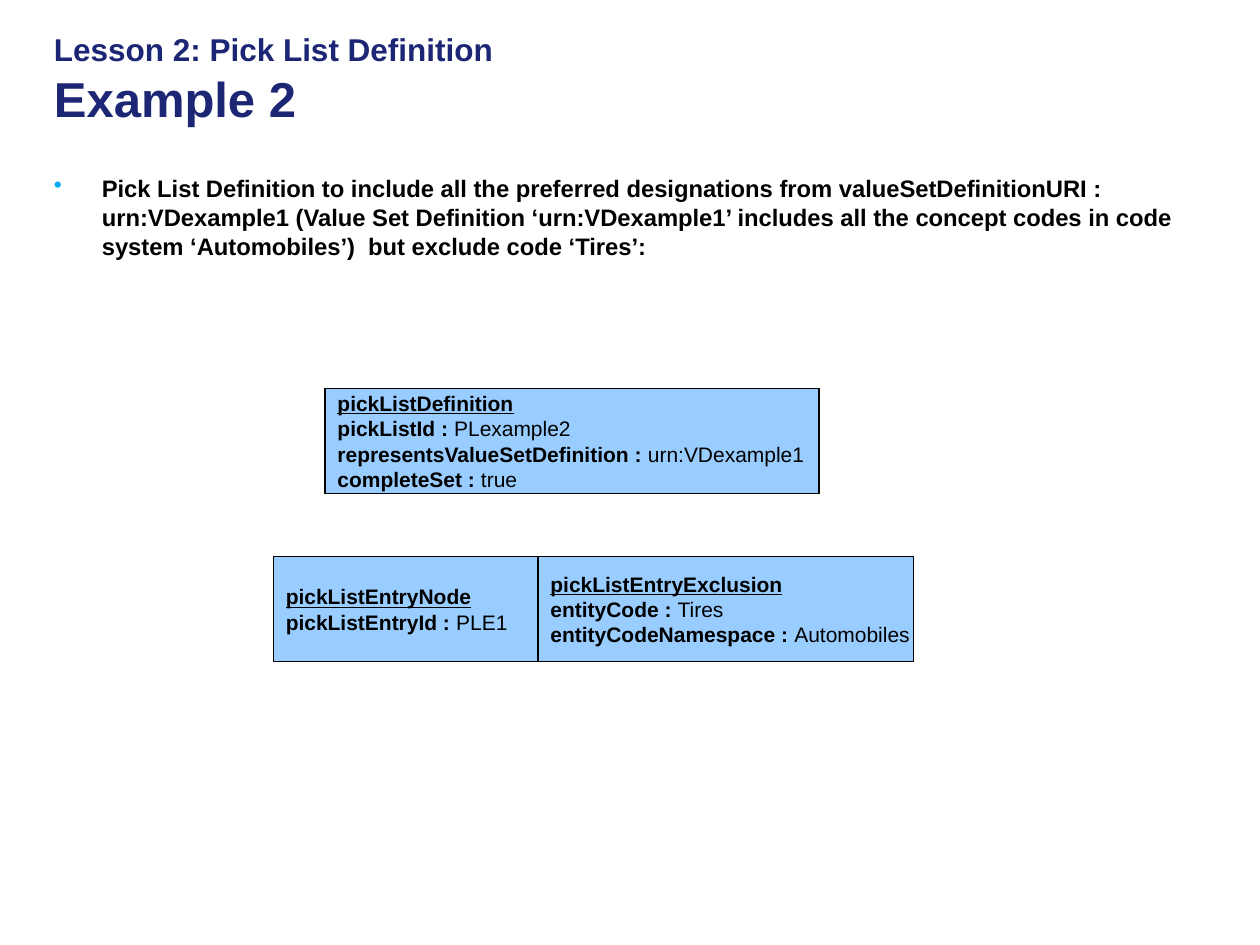
from lxml import etree
from pptx import Presentation
from pptx import util as u
from pptx.dml.color import RGBColor
from pptx.enum import shapes, text
from pptx.oxml.ns import qn

HUES = {"navy": "1C2674", "cyan": "00AAF6", "sky": "99CCFF", "ink": "000000"}
WIDE, HIGH = 10, 7.5
ROW = HIGH / 90  # vertical grid step


def hue(name):
    return RGBColor.from_string(HUES[name])


def style(font, size, name="ink", bold=None):
    font.name, font.size, font.bold = "Arial", u.Pt(size), bold
    font.color.rgb = hue(name)


def frame(shape, anchor, wrap=True):
    body = shape.text_frame
    body.word_wrap, body.vertical_anchor = wrap, anchor
    return body


def text_box(slide, left, row, width, rows, anchor):
    box = slide.shapes.add_textbox(*map(u.Inches, (left, row * ROW, width, rows * ROW)))
    return frame(box, anchor)


def add_title(slide, lesson, topic):
    para = text_box(slide, 0.33, 0, 0.75 * WIDE, 15, text.MSO_ANCHOR.MIDDLE).paragraphs[0]
    for words, size in ((lesson, 18), (topic, 28)):
        if para.runs:
            para.add_line_break()
        run = para.add_run()
        run.text = words
        style(run.font, size, "navy", True)


def add_bullet(slide, words):
    para = text_box(slide, 0.33, 16, 9.08, 11, text.MSO_ANCHOR.TOP).paragraphs[0]
    para.text = words
    props = para._p.get_or_add_pPr()
    indent = u.Inches(0.38)
    props.set("marL", str(indent))
    props.set("indent", str(-indent))
    color = etree.SubElement(props, qn("a:buClr"))
    etree.SubElement(color, qn("a:srgbClr"), val=HUES["cyan"])
    etree.SubElement(props, qn("a:buChar"), char="•")
    style(para.font, 13.6, bold=True)


def add_class(parent, left, row, width, name, fields):
    """Draw a class box: underlined name, then one line per field."""
    box = parent.shapes.add_shape(
        shapes.MSO_SHAPE.RECTANGLE,
        *map(u.Inches, (left, row * ROW, width, 10 * ROW)))
    box.shadow.inherit = False
    box.fill.solid()
    box.fill.fore_color.rgb = hue("sky")
    box.line.color.rgb = hue("ink")
    box.line.width = u.Pt(0.75)
    body = frame(box, text.MSO_ANCHOR.MIDDLE, False)
    head = body.paragraphs[0]
    head.text = name
    style(head.font, 12, bold=True)
    head.font.underline = True
    for key, value in fields.items():
        para = body.add_paragraph()
        style(para.font, 12)
        for words, bold in ((key + " : ", True), (value, False)):
            run = para.add_run()
            run.text, run.font.bold = words, bold
    for para in body.paragraphs:
        para.alignment = text.PP_ALIGN.LEFT


def main():
    deck = Presentation()
    deck.slide_width, deck.slide_height = u.Inches(WIDE), u.Inches(HIGH)
    slide = deck.slides.add_slide(deck.slide_layouts[6])

    # Heading and description
    add_title(slide, "Lesson 2: Pick List Definition", "Example 2")
    add_bullet(slide, "Pick List Definition to include all the preferred designations from "
               "valueSetDefinitionURI : urn:VDexample1 (Value Set Definition "
               "‘urn:VDexample1’ includes all the concept codes in code system "
               "‘Automobiles’)  but exclude code ‘Tires’:")

    # Definition
    add_class(slide, 2.58, 37, 3.92, "pickListDefinition", {
        "pickListId": "PLexample2",
        "representsValueSetDefinition": "urn:VDexample1",
        "completeSet": "true"})

    # Entry node with its exclusion, side by side
    left, node = 2.17, 2.1
    pair = slide.shapes.add_group_shape()
    add_class(pair, left, 53, node, "pickListEntryNode", {"pickListEntryId": "PLE1"})
    add_class(pair, left + node, 53, 2.98, "pickListEntryExclusion", {
        "entityCode": "Tires", "entityCodeNamespace": "Automobiles"})

    deck.save("out.pptx")


if __name__ == "__main__":
    main()
